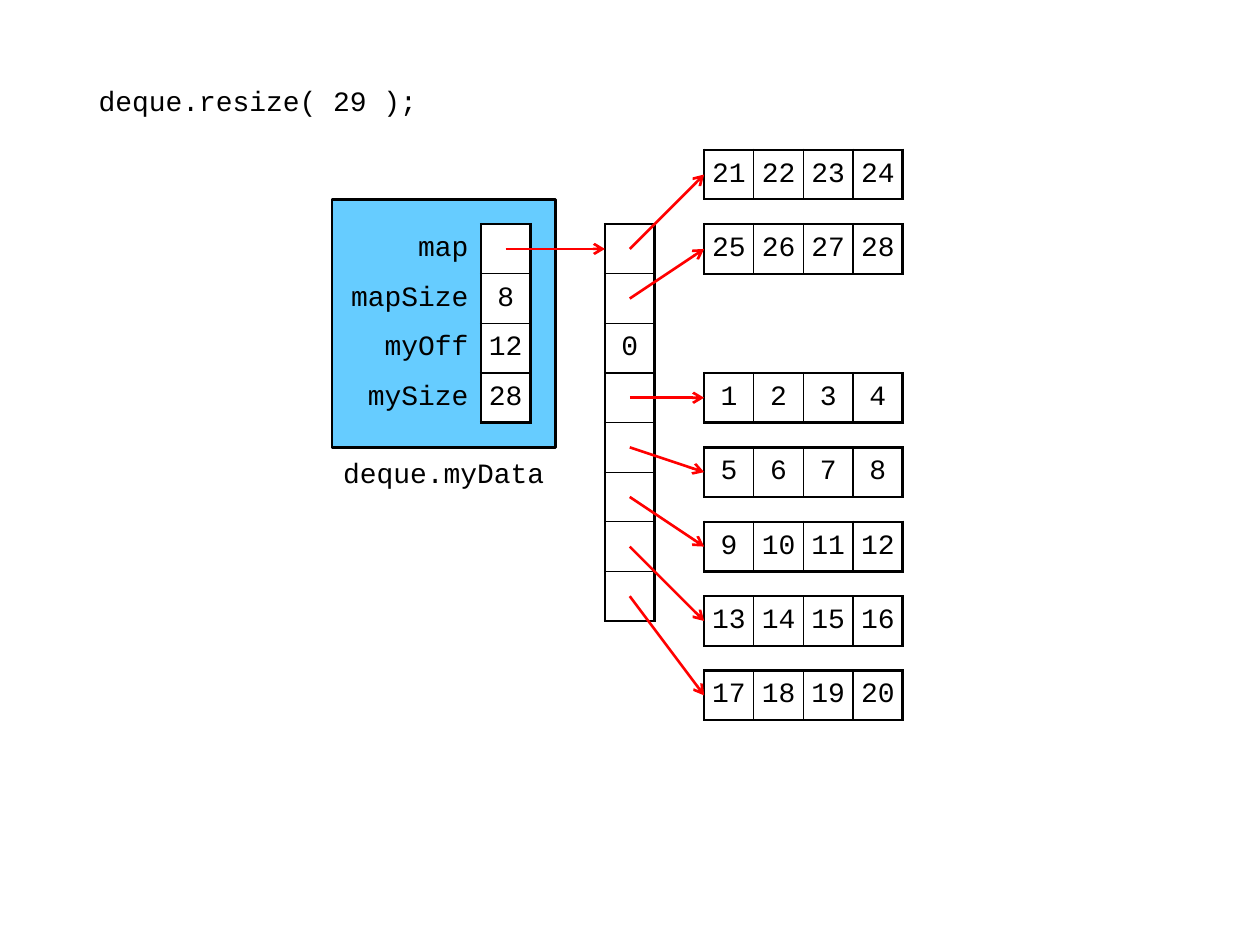
from dataclasses import dataclass

import lxml.etree
import pptx
import pptx.dml.color
import pptx.enum.shapes
import pptx.enum.text
import pptx.oxml.ns
import pptx.util

Pt = pptx.util.Pt
Align = pptx.enum.text.PP_ALIGN
Middle = pptx.enum.text.MSO_ANCHOR.MIDDLE


@dataclass(frozen=True)
class Theme:
    """Colours, type and line sizes."""
    font: str = "Courier New"
    size: float = 16
    ink: str = "000000"
    paper: str = "FFFFFF"
    panel: str = "66CCFF"
    pointer: str = "FF0000"
    outer: float = 1.5
    inner: float = 0.75


THEME = Theme()
UNIT = 28.35
ORIGIN_X, ORIGIN_Y = 5.5, 0.5
FIELDS = [("map", ""), ("mapSize", "8"), ("myOff", "12"), ("mySize", "28")]
MAP_SLOTS = ["", "", "0", "", "", "", "", ""]
BLOCKS = [(0, 3, 21), (1, 4.5, 25), (3, 7.5, 1), (4, 9, 5),
          (5, 10.5, 9), (6, 12, 13), (7, 13.5, 17)]


def grid(column, row):
    """Return the point at a grid column and row."""
    return ORIGIN_X + column * UNIT, ORIGIN_Y + row * UNIT


def rgb(code):
    """Return the colour for a hex code."""
    return pptx.dml.color.RGBColor.from_string(code)


def add_element(parent, tag, **attributes):
    """Append a drawing element and return it."""
    return lxml.etree.SubElement(parent, pptx.oxml.ns.qn(tag), attributes)


def write(frame, words, align=Align.CENTER):
    """Write one run in the theme's type."""
    frame.vertical_anchor = Middle
    paragraph = frame.paragraphs[0]
    paragraph.alignment = align
    run = paragraph.add_run()
    run.text = words
    run.font.name, run.font.size = THEME.font, Pt(THEME.size)
    run.font.color.rgb = rgb(THEME.ink)


def write_caption(frame, words):
    """Write a centred line without insets or wrapping."""
    frame.margin_left = frame.margin_right = 0
    frame.margin_top = frame.margin_bottom = 0
    frame.word_wrap = False
    write(frame, words)


def set_borders(cell, widths):
    """Draw the left, right, top and bottom borders; zero hides one."""
    properties = cell._tc.get_or_add_tcPr()
    for side, width in zip("LRTB", widths):
        border = add_element(properties, f"a:ln{side}", w=str(Pt(width)))
        if width:
            fill = add_element(border, "a:solidFill")
            add_element(fill, "a:srgbClr", val=THEME.ink)
        else:
            add_element(border, "a:noFill")


def add_cells(slide, box, rows, label_width=0):
    """Place a ruled table in a box, with an optional bare label column."""
    left, top, width, height = box
    row_count, column_count = len(rows), len(rows[0])
    frame = slide.shapes.add_table(row_count, column_count, Pt(left), Pt(top),
                                   Pt(width), Pt(height))
    table = frame.table
    table.first_row = table.horz_banding = False
    first = 1 if label_width else 0
    for index, column in enumerate(table.columns):
        bare = index < first
        column.width = Pt(label_width if bare else
                          (width - label_width) / (column_count - first))
    for r, row in enumerate(rows):
        table.rows[r].height = Pt(height / row_count)
        for c, words in enumerate(row):
            cell = table.cell(r, c)
            label = c < first
            cell.margin_left = cell.margin_right = Pt(7.2 if label else 0)
            cell.margin_top = cell.margin_bottom = Pt(2.88)
            cell.vertical_anchor = Middle
            edges = (c == first, c == column_count - 1, r == 0, r == row_count - 1)
            widths = [THEME.outer if edge else THEME.inner for edge in edges]
            set_borders(cell, (0, THEME.outer, 0, 0) if label else widths)
            if label_width and not label:
                cell.fill.solid()
                cell.fill.fore_color.rgb = rgb(THEME.paper)
            else:
                cell.fill.background()
            if words:
                write(cell.text_frame, words, Align.RIGHT if label else Align.CENTER)
    return frame


def add_pointer(slide, start, end, target=None):
    """Draw an arrow, joined to the left side of a target if given."""
    pointer = slide.shapes.add_connector(
        pptx.enum.shapes.MSO_CONNECTOR.STRAIGHT, *map(Pt, start + end))
    if target is not None:
        pointer.end_connect(target, 1)
    pointer.line.color.rgb = rgb(THEME.pointer)
    pointer.line.width = Pt(THEME.outer)
    add_element(pointer.line._get_or_add_ln(), "a:tailEnd", type="arrow")
    add_element(pointer._element.spPr, "a:effectLst")


def add_title(slide, box, words):
    """Place the title in a box."""
    title = slide.shapes.title
    title.left, title.top, title.width, title.height = map(Pt, box)
    write_caption(title.text_frame, words)


def add_deque_data(slide, box):
    """Place the deque's panel, its fields and the caption below."""
    left, top, width, height = box
    panel = slide.shapes.add_shape(
        pptx.enum.shapes.MSO_SHAPE.FLOWCHART_PROCESS, *map(Pt, box))
    panel.shadow.inherit = False
    panel.fill.solid()
    panel.fill.fore_color.rgb = rgb(THEME.panel)
    panel.line.color.rgb = rgb(THEME.ink)
    panel.line.width = Pt(THEME.outer)
    add_cells(slide, (left, top + UNIT / 2, width - UNIT / 2, height - UNIT),
              FIELDS, label_width=3 * UNIT)
    caption = slide.shapes.add_textbox(Pt(left), Pt(top + height), Pt(width), Pt(UNIT))
    write_caption(caption.text_frame, "deque.myData")


def add_map(slide, box):
    """Place the map's column of slots and the arrow that leads to it."""
    left, top = box[:2]
    map_row = top + UNIT / 2
    add_cells(slide, box, [[slot] for slot in MAP_SLOTS])
    add_pointer(slide, (left - 2 * UNIT, map_row), (left, map_row))


def add_block(slide, box, first_value, slot_center):
    """Place a block of four values and the arrow from its map slot."""
    left, top, width, height = box
    values = [str(first_value + step) for step in range(4)]
    block = add_cells(slide, box, [values])
    add_pointer(slide, slot_center, (left, top + height / 2), block)


def main():
    """Build and save the slide."""
    deck = pptx.Presentation()
    deck.slide_width, deck.slide_height = Pt(720), Pt(540)
    slide = deck.slides.add_slide(deck.slide_layouts[5])
    add_title(slide, (48.2, 43.2, 7 * UNIT, UNIT), "deque.resize( 29 );")
    add_deque_data(slide, (*grid(6.5, 4), 4.5 * UNIT, 5 * UNIT))
    add_map(slide, (*grid(12, 4.5), UNIT, len(MAP_SLOTS) * UNIT))
    for slot, row, first_value in BLOCKS:
        add_block(slide, (*grid(14, row), 4 * UNIT, UNIT), first_value,
                  grid(12.5, 5 + slot))
    deck.save("out.pptx")


if __name__ == "__main__":
    main()
